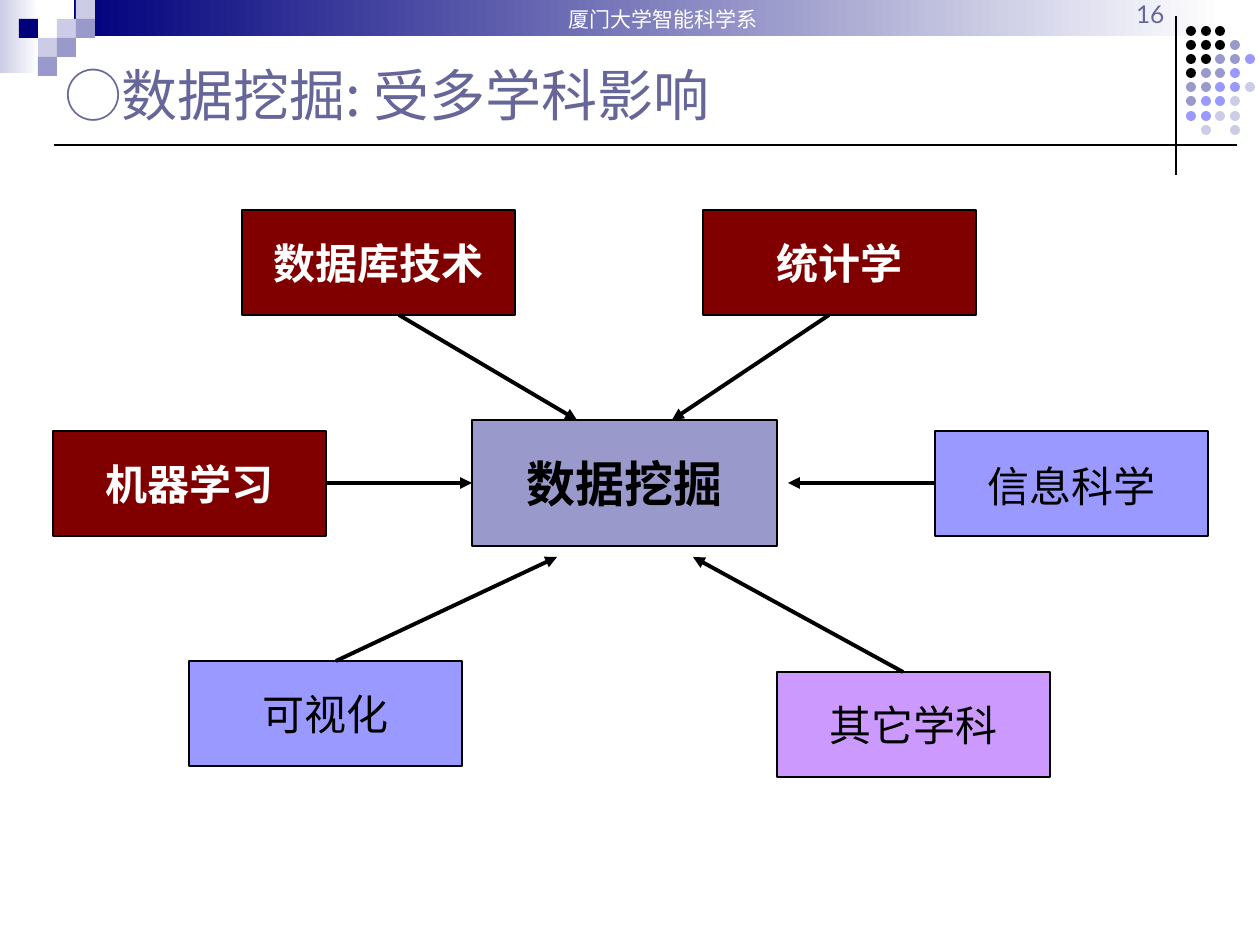
from dataclasses import dataclass

from lxml.etree import SubElement
from pptx import Presentation
from pptx.dml.color import RGBColor
from pptx.enum.shapes import MSO_CONNECTOR, MSO_SHAPE
from pptx.enum.text import MSO_ANCHOR, PP_ALIGN
from pptx.oxml.ns import qn
from pptx.util import Emu, Pt

EMU_PER_PX = 914400 / 126
CJK = "Noto Sans CJK SC"
COLORS = {
    "black": "000000",
    "white": "FFFFFF",
    "navy": "00007D",
    "pale": "CCCCE6",
    "muted": "9999CC",
    "violet": "9999FF",
    "maroon": "800000",
    "lilac": "CC99FF",
    "slate": "666699",
}


@dataclass
class Topic:
    text: str
    x: int
    y: int
    fill: str
    color: str = "black"
    bold: bool = False
    w: int = 273
    h: int = 105
    size: int = 24
    spacing: float = 1.0


@dataclass
class Line:
    x1: int
    y1: int
    x2: int
    y2: int
    width: float = 2.25
    arrow: bool = True


TOPICS = [
    Topic("数据挖掘", 472, 420, "muted", bold=True, w=305, h=126, size=28),
    Topic("数据库技术", 242, 210, "maroon", "white", True),
    Topic("统计学", 703, 210, "maroon", "white", True),
    Topic("其它学科", 777, 672, "lilac"),
    Topic("可视化", 189, 661, "violet"),
    Topic("机器学习", 53, 431, "maroon", "white", True),
    Topic("信息科学", 935, 431, "violet", spacing=1.1),
]
ARROWS = [
    Line(326, 483, 472, 483),
    Line(399, 315, 577, 420),
    Line(829, 315, 672, 420),
    Line(935, 483, 788, 483),
    Line(903, 672, 693, 557),
    Line(336, 661, 557, 557),
]
RULES = [
    Line(1176, 16, 1176, 175, 0.75, False),
    Line(1237, 145, 54, 145, 1, False),
]
SQUARES = [
    (3, 1, "pale"), (4, 0, "pale"), (4, 1, "muted"), (2, 2, "pale"),
    (1, 1, "navy"), (3, 2, "muted"), (2, 3, "muted"),
]
DOT_ROWS = ["KKK", "KKKM", "KKMMV", "KMMV", "MMVVP", "MVVP", "VVPP", ".P.P"]
DOT_COLORS = {"K": "black", "M": "muted", "V": "violet", "P": "pale"}


def px(n: int) -> Emu:
    return Emu(round(n * EMU_PER_PX))


def rgb(name: str) -> RGBColor:
    return RGBColor.from_string(COLORS[name])


def add_shape(s, kind, x: int, y: int, w: int, h: int, fill: str, fade: bool = False):
    sp = s.shapes.add_shape(kind, px(x), px(y), px(w), px(h))
    sp.shadow.inherit = False
    sp.line.fill.background()
    if fade:
        sp.fill.gradient()
        sp.fill.gradient_angle = 0
        for stop, color in zip(sp.fill.gradient_stops, (fill, "white")):
            stop.color.rgb = rgb(color)
    else:
        sp.fill.solid()
        sp.fill.fore_color.rgb = rgb(fill)
    return sp


def set_text(sp, text: str, *, size: int, color: str, font: str = CJK,
             bold: bool = False, align=PP_ALIGN.CENTER, anchor=MSO_ANCHOR.MIDDLE,
             wrap: bool = True, spacing: float = 1.0) -> None:
    tf = sp.text_frame
    tf.word_wrap = wrap
    tf.vertical_anchor = anchor
    p = tf.paragraphs[0]
    p.alignment = align
    p.line_spacing = spacing
    r = p.add_run()
    r.text = text
    r.font.size = Pt(size)
    r.font.bold = bold
    r.font.name = font
    r.font.color.rgb = rgb(color)
    SubElement(r.font._element, qn("a:ea")).set("typeface", CJK)


def draw_line(s, line: Line) -> None:
    c = s.shapes.add_connector(MSO_CONNECTOR.STRAIGHT, px(line.x1), px(line.y1),
                               px(line.x2), px(line.y2))
    c.line.color.rgb = rgb("black")
    c.line.width = Pt(line.width)
    if line.arrow:
        SubElement(c.line._get_or_add_ln(), qn("a:tailEnd")).set("type", "triangle")
    SubElement(c._element.spPr, qn("a:effectLst"))


def draw_topic(s, t: Topic) -> None:
    sp = add_shape(s, MSO_SHAPE.RECTANGLE, t.x, t.y, t.w, t.h, t.fill)
    sp.line.color.rgb = rgb("black")
    sp.line.width = Pt(0.75)
    set_text(sp, t.text, size=t.size, color=t.color, bold=t.bold, wrap=False,
             spacing=t.spacing)


def draw_header(s) -> None:
    add_shape(s, MSO_SHAPE.RECTANGLE, 0, 0, 39, 73, "pale", fade=True)
    band = add_shape(s, MSO_SHAPE.RECTANGLE, 74, 0, 1150, 36, "navy", fade=True)
    set_text(band, "厦门大学智能科学系", size=12, color="white",
             font="Times New Roman", anchor=MSO_ANCHOR.TOP)
    band.text_frame.margin_left = px(41)
    for col, row, fill in SQUARES:
        add_shape(s, MSO_SHAPE.RECTANGLE, col * 19, row * 19, 19, 19, fill)
    for row, codes in enumerate(DOT_ROWS):
        for col, code in enumerate(codes):
            if code in DOT_COLORS:
                add_shape(s, MSO_SHAPE.OVAL, 1186 + round(col * 14.7),
                          26 + round(row * 14.1), 10, 10, DOT_COLORS[code])
    for rule in RULES:
        draw_line(s, rule)
    number = s.shapes.add_textbox(px(733), px(13), px(444), px(22))
    set_text(number, "16", size=14, color="slate", font="Lato",
             align=PP_ALIGN.RIGHT, anchor=MSO_ANCHOR.BOTTOM)
    title = s.shapes.add_textbox(px(53), px(42), px(1187), px(105))
    set_text(title, "◯数据挖掘: 受多学科影响", size=32, color="slate",
             align=PP_ALIGN.LEFT)


def main() -> None:
    prs = Presentation()
    prs.slide_width, prs.slide_height = px(1260), px(945)
    s = prs.slides.add_slide(prs.slide_layouts[6])
    draw_header(s)
    for topic in TOPICS:
        draw_topic(s, topic)
    for arrow in ARROWS:
        draw_line(s, arrow)
    prs.save("out.pptx")


if __name__ == "__main__":
    main()
